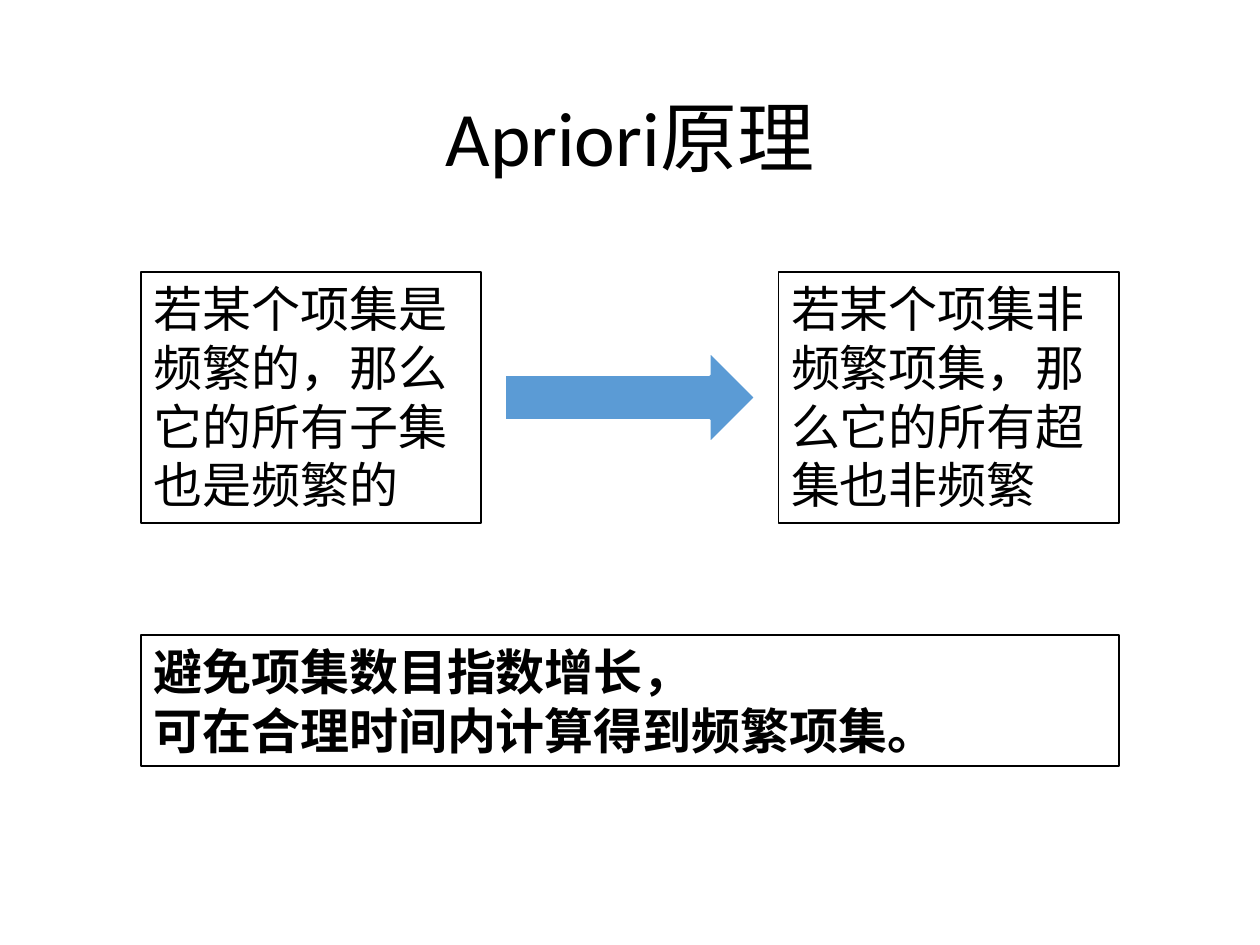
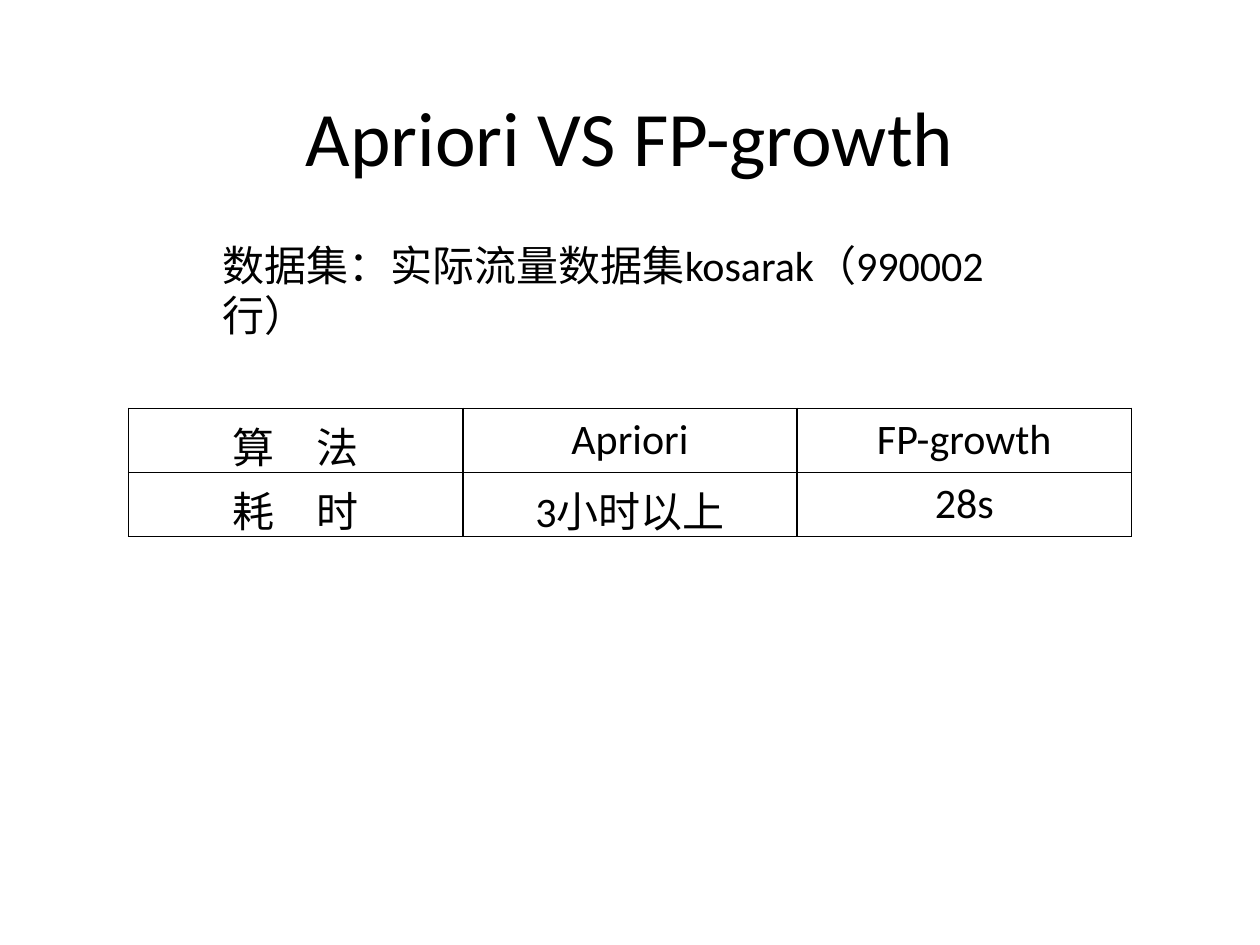
from dataclasses import dataclass

from lxml.etree import SubElement
from pptx import Presentation
from pptx.dml.color import RGBColor
from pptx.enum.lang import MSO_LANGUAGE_ID
from pptx.enum.shapes import MSO_SHAPE
from pptx.enum.text import MSO_ANCHOR, MSO_AUTO_SIZE, PP_ALIGN
from pptx.oxml.ns import qn
from pptx.util import Inches, Pt


@dataclass(frozen=True)
class Theme:
    font: str = "Calibri"
    ink: str = "000000"
    paper: str = "FFFFFF"
    accent: str = "5B9BD5"
    title: int = 44
    body: int = 28
    data: int = 24
    rule: float = 1
    arrow_rule: float = 1.5


THEME = Theme()


def color(value):
    return RGBColor.from_string(value)


def write(tf, lines, size, bold=False, **paragraph_format):
    """Fill a text frame, one paragraph for each line."""
    run_format = {"name": THEME.font, "size": Pt(size), "bold": bold,
                  "language_id": MSO_LANGUAGE_ID.SIMPLIFIED_CHINESE}
    for i, line in enumerate(lines):
        p = tf.paragraphs[0] if i == 0 else tf.add_paragraph()
        for key, value in paragraph_format.items():
            setattr(p, key, value)
        r = p.add_run()
        r.text = line
        for key, value in run_format.items():
            setattr(r.font, key, value)
        r.font.color.rgb = color(THEME.ink)


def add_text(s, box, lines, size, frame_format, **paragraph_format):
    tf = s.shapes.add_textbox(*map(Inches, box)).text_frame
    for key, value in {"word_wrap": True, **frame_format}.items():
        setattr(tf, key, value)
    write(tf, lines, size, **paragraph_format)


def add_block(s, box, kind, fill, line, width):
    sp = s.shapes.add_shape(kind, *map(Inches, box))
    sp.shadow.inherit = False
    sp.fill.solid()
    sp.fill.fore_color.rgb = color(fill)
    sp.line.color.rgb = color(line)
    sp.line.width = Pt(width)
    return sp


def add_statement(s, box, lines, bold=False):
    """Outlined box with left-aligned text."""
    sp = add_block(s, box, MSO_SHAPE.RECTANGLE, THEME.paper, THEME.ink, THEME.rule)
    tf = sp.text_frame
    frame_format = {"word_wrap": True, "vertical_anchor": MSO_ANCHOR.TOP,
                    "auto_size": MSO_AUTO_SIZE.SHAPE_TO_FIT_TEXT}
    for key, value in frame_format.items():
        setattr(tf, key, value)
    write(tf, lines, THEME.body, bold, alignment=PP_ALIGN.LEFT)


def add_implication(s, box, premise, conclusion):
    """Two statements at the ends of the box, an arrow centred between them."""
    left, top, width, height = box
    side, arrow_w, arrow_h = 2.7, 1.99, 0.73
    add_statement(s, (left, top, side, height), [premise])
    add_statement(s, (left + width - side, top, side, height), [conclusion])
    arrow = (left + (width - arrow_w) / 2, top + (height - arrow_h) / 2, arrow_w, arrow_h)
    add_block(s, arrow, MSO_SHAPE.RIGHT_ARROW, THEME.accent, THEME.paper, THEME.arrow_rule)


def add_borders(cell):
    tcPr = cell._tc.get_or_add_tcPr()
    for i, side in enumerate(("a:lnL", "a:lnR", "a:lnT", "a:lnB")):
        ln = SubElement(tcPr, qn(side), w=str(Pt(THEME.rule)))
        fill = SubElement(ln, qn("a:solidFill"))
        SubElement(fill, qn("a:srgbClr"), val=THEME.ink)
        tcPr.insert(i, ln)


def add_grid(s, box, rows):
    """Bordered table with equal columns and rows."""
    table = s.shapes.add_table(len(rows), len(rows[0]), *map(Inches, box)).table
    for flag in ("first_row", "horz_banding"):
        setattr(table, flag, False)
    for i, row in enumerate(rows):
        for j, text in enumerate(row):
            cell = table.cell(i, j)
            cell.fill.background()
            add_borders(cell)
            write(cell.text_frame, [text], THEME.data, alignment=PP_ALIGN.CENTER)


def add_titled_slide(prs, title):
    s = prs.slides.add_slide(prs.slide_layouts[6])
    s.background.fill.solid()
    s.background.fill.fore_color.rgb = color(THEME.paper)
    add_text(s, (0.69, 0.4, 8.62, 1.45), [title], THEME.title,
             {"vertical_anchor": MSO_ANCHOR.MIDDLE},
             alignment=PP_ALIGN.CENTER, line_spacing=0.9)
    return s


def principle_slide(prs):
    s = add_titled_slide(prs, "Apriori原理")
    left, width = 1.12, 7.76
    add_implication(s, (left, 2.16, width, 1.99),
                    "若某个项集是频繁的，那么它的所有子集也是频繁的",
                    "若某个项集非频繁项集，那么它的所有超集也非频繁")
    add_statement(s, (left, 5.04, width, 1.04),
                  ["避免项集数目指数增长，", "可在合理时间内计算得到频繁项集。"], bold=True)


def comparison_slide(prs):
    s = add_titled_slide(prs, "Apriori VS FP-growth")
    add_text(s, (1.67, 1.85, 6.66, 0.5), ["数据集：实际流量数据集kosarak（990002行）"],
             THEME.data, {"auto_size": MSO_AUTO_SIZE.SHAPE_TO_FIT_TEXT})
    # An ideographic space sets the two-character labels one em apart
    add_grid(s, (1.02, 3.24, 7.96, 1.02),
             [["算\u3000法", "Apriori", "FP-growth"],
              ["耗\u3000时", "3小时以上", "28s"]])


prs = Presentation()
prs.slide_width, prs.slide_height = Inches(10), Inches(7.5)
principle_slide(prs)
comparison_slide(prs)
prs.save("out.pptx")
